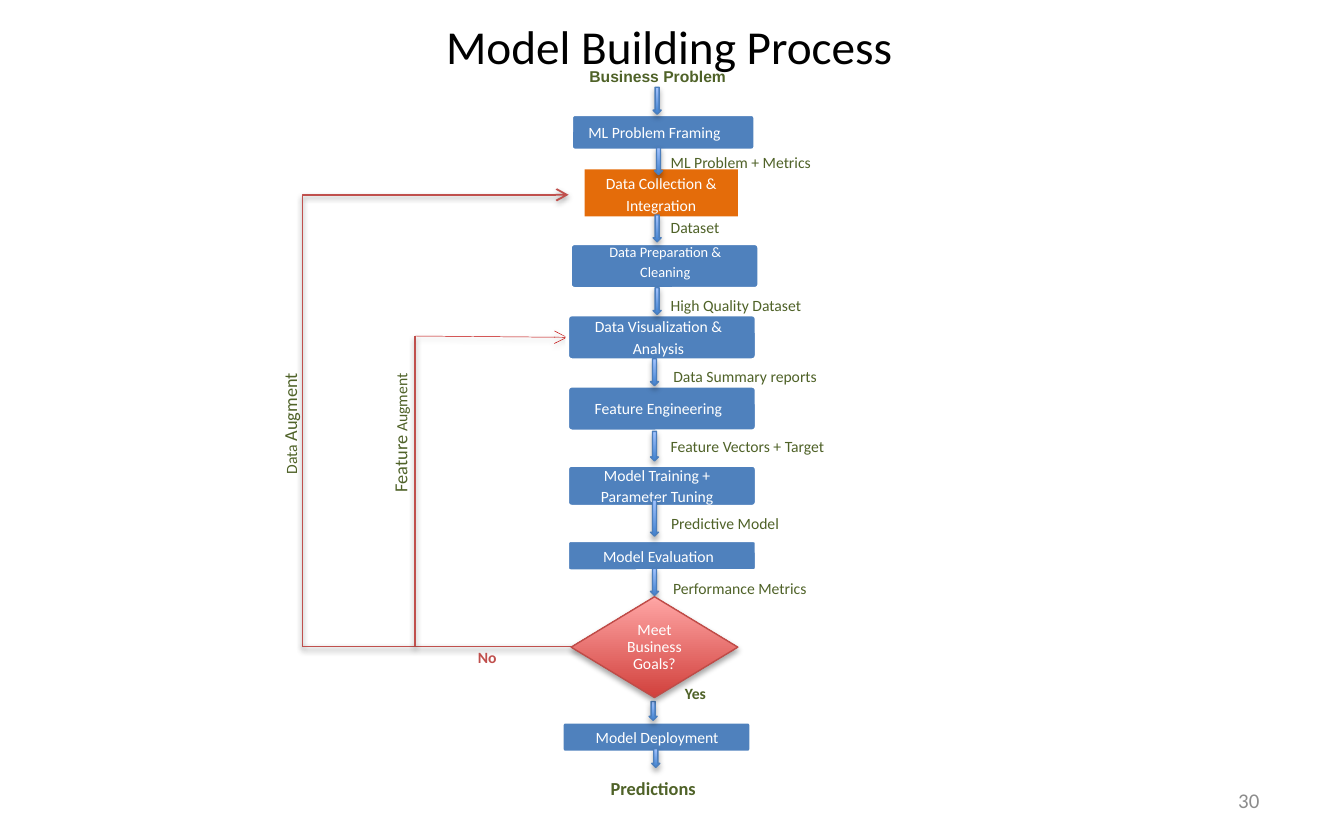
from lxml import etree
from pptx import Presentation, util as u
from pptx.dml.color import RGBColor
from pptx.enum import shapes, text
from pptx.oxml.ns import qn

PX = 9144  # EMU per px, 100 px to the inch
BLACK = RGBColor(0x00, 0x00, 0x00)
WHITE = RGBColor(0xFF, 0xFF, 0xFF)
GREY = RGBColor(0x8C, 0x8C, 0x8C)
GREEN = RGBColor(0x4F, 0x62, 0x28)
BLUE = RGBColor(0x4F, 0x81, 0xBD)
ORANGE = RGBColor(0xE4, 0x6C, 0x0A)
RED = RGBColor(0xC0, 0x50, 0x4D)
DEEP_RED = RGBColor(0xC0, 0x00, 0x00)
ARROW_COLORS = (RGBColor(0x3F, 0x80, 0xCE), RGBColor(0xA4, 0xC4, 0xFF), RGBColor(0x4B, 0x7E, 0xBC))
DIAMOND_COLORS = (RGBColor(0xD1, 0x40, 0x3C), RGBColor(0xFF, 0xA6, 0xA5), RGBColor(0xBF, 0x4C, 0x48))
LEFT, CENTER, RIGHT = text.PP_ALIGN.LEFT, text.PP_ALIGN.CENTER, text.PP_ALIGN.RIGHT
MIDDLE = text.MSO_ANCHOR.MIDDLE


def px(*values):
    return [value * PX for value in values]


def within(box, left, top, width, height):
    return px(box[0] + left, box[1] + top, width, height)


def write(shape, words, size, color, align=CENTER, spacing=None, insets=(7, 4),
          anchor=None, bold=False, font="Calibri"):
    """Fill a shape with one paragraph; words is a string, size its points."""
    frame = shape.text_frame
    frame.word_wrap = True
    frame.margin_left = frame.margin_right = insets[0] * PX
    frame.margin_top = frame.margin_bottom = insets[1] * PX
    if anchor is not None:
        frame.vertical_anchor = anchor
    para = frame.paragraphs[0]
    para.text = words
    para.alignment = align
    if spacing:
        para.line_spacing = spacing
    for span in para.runs:
        style(span, size, color, bold, font)
    return para


def style(span, size, color, bold=False, font="Calibri"):
    span.font.name, span.font.size = font, u.Pt(size)
    span.font.color.rgb, span.font.bold = color, bold


def cast_shadow(shape, opacity, distance):
    effects = etree.SubElement(shape._element.spPr, qn("a:effectLst"))
    shadow = etree.SubElement(effects, qn("a:outerShdw"), blurRad=str(u.Pt(3.1)),
                              dist=str(u.Pt(distance)), dir="5400000", rotWithShape="0")
    color = etree.SubElement(shadow, qn("a:srgbClr"), val="000000")
    etree.SubElement(color, qn("a:alpha"), val=str(opacity * 1000))


def add_glossy(page, kind, place, colors):
    """Shape with a vertical gradient, thin outline and soft shadow."""
    shape = page.shapes.add_shape(kind, *place)
    shape.fill.gradient()
    shape.fill.gradient_angle = 90
    for stop, color, position in zip(shape.fill.gradient_stops, colors, (0, 1)):
        stop.color.rgb, stop.position = color, position
    shape.line.color.rgb, shape.line.width = colors[2], u.Pt(0.75)
    cast_shadow(shape, 35, 1.8)
    return shape


def add_step(page, box, words, label_shift, size=8.4, rise=3):
    """Blue plate grouped with its label."""
    left, top, width, height = box
    group = page.shapes.add_group_shape()
    plate = group.shapes.add_shape(shapes.MSO_SHAPE.ROUNDED_RECTANGLE, *px(*box))
    plate.adjustments[0] = 0.1
    plate.fill.solid()
    plate.fill.fore_color.rgb = BLUE
    plate.line.color.rgb, plate.line.width = WHITE, u.Pt(2)
    plate.shadow.inherit = False
    label = group.shapes.add_textbox(*px(left + label_shift, top - rise, 114, height + 4))
    write(label, words, size, WHITE, spacing=1.15, insets=(0, 0), anchor=MIDDLE)


def add_line(page, kind, ends, color, weight, arrow=False):
    line = page.shapes.add_connector(kind, *px(*ends))
    line.line.color.rgb, line.line.width = color, u.Pt(weight)
    if arrow:
        etree.SubElement(line.line._get_or_add_ln(), qn("a:tailEnd"), type="arrow")
    cast_shadow(line, 38, 1.6)
    return line


def draw_title(page, box):
    write(page.shapes.add_textbox(*px(*box)), "Model Building Process", 25.3, BLACK, insets=(0, 0))


def draw_loops(page, box):
    """Feedback paths from the decision back to the earlier steps."""
    left, top, width, height = box
    inner, right, bottom = left + 84, left + width, top + height
    straight, elbow = shapes.MSO_CONNECTOR.STRAIGHT, shapes.MSO_CONNECTOR.ELBOW

    # Outer loop: a one-bend connector turned a quarter, going up and then right
    middle_x, middle_y = left + width / 2, top + height / 2
    ends = [round(value) for value in (middle_x + height / 2, middle_y + width / 2,
                                       middle_x - height / 2, middle_y - width / 2)]
    outer = add_line(page, elbow, ends, RED, 1, arrow=True)
    properties = outer._element.spPr
    properties.find(qn("a:xfrm")).set("rot", "5400000")
    properties.find(qn("a:prstGeom")).set("prst", "bentConnector2")

    # Base line and inner loop
    add_line(page, straight, (left, bottom, right + 34, bottom), RED, 1)
    add_line(page, straight, (inner, top + 105, inner, bottom), RED, 1)
    add_line(page, straight, (inner, top + 105, right, top + 106), DEEP_RED, 0.25, arrow=True)

    # Loop names
    names = [((-64, 149, 106, 26), LEFT, ("Data ", 8.4), ("Augment", 9.8)),
             ((17, 165, 111, 24), CENTER, ("Feature", 9.8), (" Augment", 8.4))]
    for place, align, first, second in names:
        name = page.shapes.add_textbox(*within(box, *place))
        name.rotation = 270
        para = write(name, first[0], first[1], GREEN, align, 1.15 if align == LEFT else None)
        span = para.add_run()
        span.text = second[0]
        style(span, second[1], GREEN)
    answer = page.shapes.add_textbox(*within(box, 114, 333, 47, 21))
    write(answer, "No", 8.4, RED, bold=True)


def draw_flow(page, box):
    """Column of steps, arrows, hand-over labels and the decision."""
    steps = [
        ((25, 45, 137, 27), "ML Problem Framing", 5),
        ((24, 141, 141, 34), "Data Preparation & Cleaning", 14, 7.7, 6),
        ((22, 194, 141, 34), "Data Visualization & Analysis", 11),
        ((22, 247, 141, 34), "Feature Engineering", 11),
        ((22, 306, 141, 31), "Model Training + Parameter Tuning", 10),
        ((22, 362, 141, 23), "Model Evaluation", 11),
        ((18, 497, 141, 23), "Model Deployment", 14),
    ]
    for (left, top, width, height), *details in steps:
        add_step(page, (box[0] + left, box[1] + top, width, height), *details)

    # Highlighted step
    collection = page.shapes.add_shape(shapes.MSO_SHAPE.RECTANGLE, *within(box, 35, 86, 114, 35))
    collection.fill.solid()
    collection.fill.fore_color.rgb = ORANGE
    collection.line.fill.background()
    collection.shadow.inherit = False
    write(collection, "Data Collection & Integration", 8.4, WHITE, spacing=1.15,
          insets=(0, 0), anchor=MIDDLE)

    # Arrows: left, top, height
    arrows = [(86, 25, 20), (87, 70, 20), (86, 120, 20), (86, 174, 20), (84, 227, 20),
              (84, 281, 22), (84, 332, 27), (84, 383, 20), (83, 482, 14), (85, 517, 14)]
    for left, top, height in arrows:
        add_glossy(page, shapes.MSO_SHAPE.DOWN_ARROW, within(box, left, top, 6, height), ARROW_COLORS)

    # What each step hands on
    outputs = [(92, 68, "ML Problem + Metrics", LEFT), (92, 116, "Dataset", LEFT),
               (92, 174, "High Quality Dataset", LEFT), (94, 227, "Data Summary reports", LEFT),
               (92, 279, "Feature Vectors + Target", LEFT),
               (69, 338, "Predictive Model", CENTER), (80, 387, "Performance Metrics", CENTER)]
    for left, top, words, align in outputs:
        label = page.shapes.add_textbox(*within(box, left, top, 141, 23))
        write(label, words, 8.4, GREEN, align, 1.15 if align == LEFT else None)

    # Start, end and positive answer
    ends = [((28, 6, 123, 21), "Business Problem", 8.4, "Arial"),
            ((47, 534, 78, 24), "Predictions", 9.8, "Calibri"),
            ((94, 465, 47, 21), "Yes", 8.4, "Calibri")]
    for place, words, size, font in ends:
        label = page.shapes.add_textbox(*within(box, *place))
        write(label, words, size, GREEN, bold=True, font=font)
        label.text_frame.word_wrap = words != "Predictions"

    # Decision
    decision = add_glossy(page, shapes.MSO_SHAPE.DIAMOND, within(box, 25, 404, 124, 75), DIAMOND_COLORS)
    write(decision, "Meet\vBusiness Goals?", 8.4, WHITE, spacing=0.9, insets=(10, 5), anchor=MIDDLE)


def draw_page_number(page, box):
    write(page.shapes.add_textbox(*px(*box)), "30", 11.2, GREY, RIGHT, insets=(13, 7), anchor=MIDDLE)


def main():
    deck = Presentation()
    deck.slide_width, deck.slide_height = px(1000, 625)
    page = deck.slides.add_slide(deck.slide_layouts[6])
    draw_title(page, (68, 13, 860, 43))
    draw_loops(page, (225, 145, 197, 336))
    draw_flow(page, (400, 40, 233, 558))
    draw_page_number(page, (717, 579, 233, 33))
    deck.save("out.pptx")


if __name__ == "__main__":
    main()
